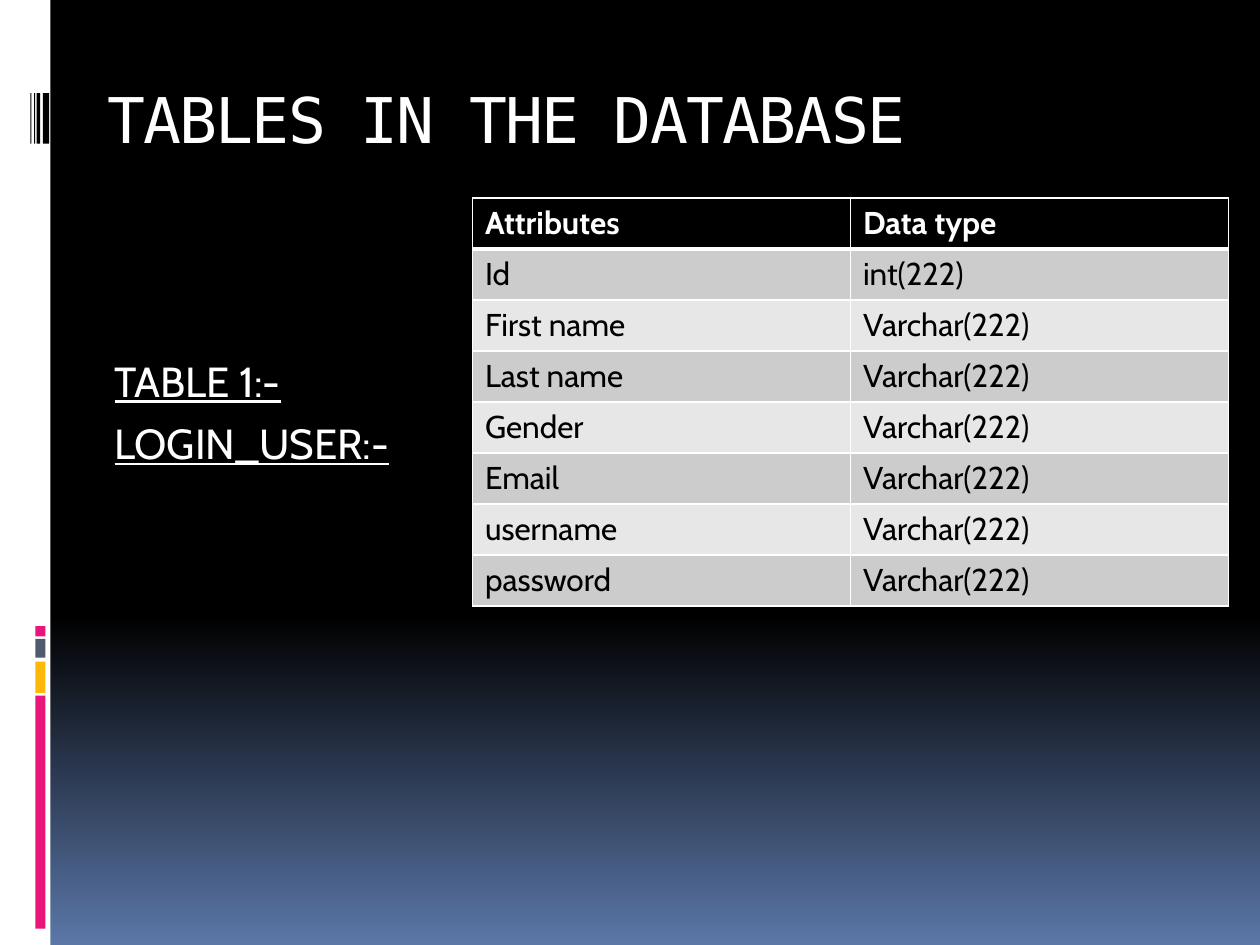
from copy import deepcopy

from lxml import etree
from pptx import Presentation
from pptx.dml.color import RGBColor
from pptx.enum import shapes, text
from pptx.oxml.ns import qn
from pptx.util import Inches, Pt

COLORS = {"white": "FFFFFF", "black": "000000", "pink": "EA157A", "amber": "FEB80A",
          "slate": "4E5B6F", "blue": "5B77A8", "dark_band": "CCCCCC", "light_band": "E7E7E7"}
BODY_FONT, TITLE_FONT = "Cabin", "DejaVu Sans Mono"

TITLE = "TABLES IN THE DATABASE"
TABLE_LABEL = ["TABLE 1:-", "LOGIN_USER:-"]
ROWS = [
    ("Attributes", "Data type"),
    ("Id", "int(222)"),
    ("First name", "Varchar(222)"),
    ("Last name", "Varchar(222)"),
    ("Gender", "Varchar(222)"),
    ("Email", "Varchar(222)"),
    ("username", "Varchar(222)"),
    ("password", "Varchar(222)"),
]
BACKGROUND_STOPS = [(0, "black"), (0.65, "black"), (1, "blue")]
ACCENT_BLOCKS = [(5.52, 1.85, "pink"), (5.25, 0.25, "amber"),
                 (5.07, 0.15, "slate"), (4.97, 0.08, "pink")]  # top, height, color
BARCODE = [(0.34, 0.05), (0.29, 0.03), (0.27, 0.01), (0.24, 0.01)]  # left, width


def rgb(name):
    return RGBColor.from_string(COLORS[name])


def write(paragraph, content, size, color="white", font=BODY_FONT, bold=False,
          underline=False, space_before=0):
    paragraph.alignment = text.PP_ALIGN.LEFT
    paragraph.space_before = Pt(space_before)
    run = paragraph.add_run()
    run.text = content
    run.font.size, run.font.name = Pt(size), font
    run.font.bold, run.font.underline = bold, underline
    run.font.color.rgb = rgb(color)
    return run


def paint_background(slide):
    fill = slide.background.fill
    fill.gradient()
    fill.gradient_angle = 270
    first_stop = slide.element.find(".//" + qn("a:gs"))
    first_stop.addnext(deepcopy(first_stop))
    for stop, (position, color) in zip(fill.gradient_stops, BACKGROUND_STOPS):
        stop.position = position
        stop.color.rgb = rgb(color)


def add_block(slide, left, top, width, height, color):
    block = slide.shapes.add_shape(shapes.MSO_SHAPE.RECTANGLE, Inches(left), Inches(top),
                                   Inches(width), Inches(height))
    block.shadow.inherit = False
    block.fill.solid()
    block.fill.fore_color.rgb = rgb(color)
    block.line.fill.background()


def add_side_strip(slide):
    add_block(slide, 0, 0, 0.4, 7.5, "white")
    for top, height, color in ACCENT_BLOCKS:
        add_block(slide, 0.28, top, 0.08, height, color)
    for left, width in BARCODE:
        add_block(slide, left, 0.74, width, 0.4, "black")


def add_title(slide):
    title = slide.shapes.title
    title.left, title.top = Inches(0.75), Inches(0.3)
    title.width, title.height = Inches(9), Inches(1.27)
    title.text_frame.vertical_anchor = text.MSO_ANCHOR.MIDDLE
    run = write(title.text_frame.paragraphs[0], TITLE, 36, font=TITLE_FONT)
    run.font._element.set("spc", "-100")


def add_label(slide):
    box = slide.shapes.add_textbox(Inches(0.75), Inches(1.57), Inches(2.75), Inches(5))
    frame = box.text_frame
    frame.word_wrap = True
    frame.margin_left, frame.margin_top = Inches(0.16), Inches(1.25)
    for index, line in enumerate(TABLE_LABEL):
        paragraph = frame.add_paragraph() if index else frame.paragraphs[0]
        write(paragraph, line, 24, underline=True, space_before=7 if index else 0)


def set_borders(cell, **widths):
    """Draw white borders; widths are points by side (L, R, T, B)."""
    properties = cell._tc.get_or_add_tcPr()
    for index, side in enumerate("LRTB"):
        line = etree.Element(qn("a:ln" + side), w=str(Pt(widths.get(side, 1))))
        fill = etree.SubElement(line, qn("a:solidFill"))
        etree.SubElement(fill, qn("a:srgbClr"), val=COLORS["white"])
        properties.insert(index, line)


def add_attribute_table(slide):
    frame = slide.shapes.add_table(len(ROWS), len(ROWS[0]), Inches(3.75), Inches(1.57),
                                   Inches(6), Inches(3.24))
    for row, values in enumerate(ROWS):
        header = row == 0
        band = "black" if header else "dark_band" if row % 2 else "light_band"
        for column, value in enumerate(values):
            cell = frame.table.cell(row, column)
            cell.fill.solid()
            cell.fill.fore_color.rgb = rgb(band)
            set_borders(cell, T=3 if row == 1 else 1, B=3 if header else 1)
            write(cell.text_frame.paragraphs[0], value, 18, bold=header,
                  color="white" if header else "black")


def main():
    presentation = Presentation()
    presentation.slide_width, presentation.slide_height = Inches(10), Inches(7.5)
    slide = presentation.slides.add_slide(presentation.slide_layouts[5])
    paint_background(slide)
    add_side_strip(slide)
    add_title(slide)
    add_label(slide)
    add_attribute_table(slide)
    presentation.save("out.pptx")


if __name__ == "__main__":
    main()
